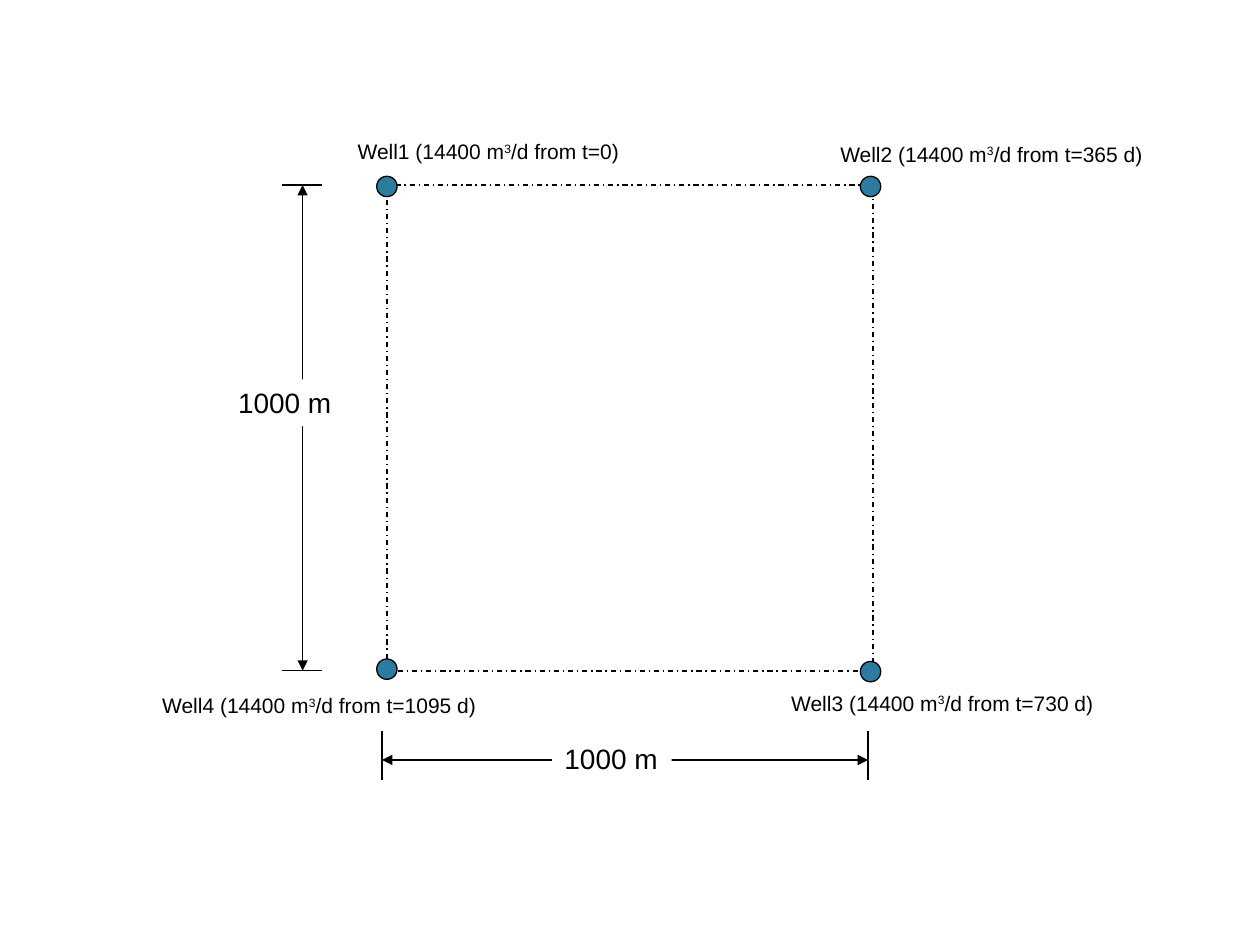
from typing import Any, NamedTuple

from lxml import etree
from pptx import Presentation
from pptx.dml.color import RGBColor
from pptx.enum.dml import MSO_LINE
from pptx.enum.shapes import MSO_CONNECTOR, MSO_SHAPE
from pptx.enum.text import MSO_AUTO_SIZE
from pptx.oxml.ns import qn
from pptx.util import Cm, Pt

RECT, OVAL = MSO_SHAPE.RECTANGLE, MSO_SHAPE.OVAL
STRAIGHT = MSO_CONNECTOR.STRAIGHT
DASH = MSO_LINE.DASH_DOT
FIT = MSO_AUTO_SIZE.SHAPE_TO_FIT_TEXT
BLACK, WHITE, BLUE = "000000", "FFFFFF", "2C7C9F"

SIDE = 9.8
DOT = 0.41


class Well(NamedTuple):
    """Dot centre, label corner and label width in cm, start time."""
    x: float
    y: float
    left: float
    top: float
    width: float
    start: str


class Line(NamedTuple):
    x1: float
    y1: float
    x2: float
    y2: float
    arrows: bool = False


class Note(NamedTuple):
    left: float
    top: float
    text: str


WELLS = [
    Well(7.8, 3.76, 6.96, 2.67, 5.84, "0"),
    Well(17.55, 3.76, 16.69, 2.72, 6.68, "365 d"),
    Well(17.55, 13.54, 15.7, 13.79, 6.68, "730 d"),
    Well(7.8, 13.49, 3.02, 13.84, 6.91, "1095 d"),
]
TOP, BASE = 3.73, 13.52
LEFT, RIGHT = 7.7, 17.5
LINES = [
    *(Line(5.69, y, 6.5, y) for y in (TOP, BASE)),
    *(Line(x, 14.73, x, 15.72) for x in (LEFT, RIGHT)),
    Line(LEFT, 15.32, RIGHT, 15.32, True),
    Line(6.1, BASE, 6.1, TOP, True),
]
NOTES = [Note(4.55, 7.65, "1000 m"), Note(11.13, 14.83, "1000 m")]


def tint(code: str) -> RGBColor:
    return RGBColor.from_string(code)


def apply(obj: Any, style: dict[str, Any]) -> None:
    for name, value in style.items():
        setattr(obj, name, value)


def stroke(shape: Any) -> None:
    shape.line.width = Pt(0.75)
    shape.line.color.rgb = tint(BLACK)


def draw_frame(slide: Any) -> None:
    frame = slide.shapes.add_shape(RECT, Cm(7.8), Cm(TOP), Cm(SIDE), Cm(SIDE))
    frame.shadow.inherit = False
    frame.fill.background()
    stroke(frame)
    frame.line.dash_style = DASH


def draw_dot(slide: Any, well: Well) -> None:
    dot = slide.shapes.add_shape(OVAL, Cm(well.x - DOT / 2), Cm(well.y - DOT / 2),
                                 Cm(DOT), Cm(DOT))
    dot.shadow.inherit = False
    dot.fill.solid()
    dot.fill.fore_color.rgb = tint(BLUE)
    stroke(dot)


def draw_line(slide: Any, line: Line) -> None:
    link = slide.shapes.add_connector(STRAIGHT, Cm(line.x1), Cm(line.y1),
                                      Cm(line.x2), Cm(line.y2))
    stroke(link)
    if line.arrows:
        for end in ("a:headEnd", "a:tailEnd"):
            etree.SubElement(link.line._get_or_add_ln(), qn(end), type="triangle")
    etree.SubElement(link._element.spPr, qn("a:effectLst"))


def draw_text(slide: Any, left: float, top: float, width: float, height: float,
              size: int, parts: list[str]) -> None:
    """Write the parts in one line, every second one as a superscript."""
    box = slide.shapes.add_textbox(Cm(left), Cm(top), Cm(width), Cm(height))
    box.fill.solid()
    box.fill.fore_color.rgb = tint(WHITE)
    apply(box.text_frame, {"word_wrap": False, "auto_size": FIT})
    for i, part in enumerate(parts):
        run = box.text_frame.paragraphs[0].add_run()
        run.text = part
        apply(run.font, {"name": "Arial", "size": Pt(size)})
        run.font.color.rgb = tint(BLACK)
        if i % 2:
            run._r.get_or_add_rPr().set("baseline", "30000")


def main() -> None:
    deck = Presentation()
    apply(deck, {"slide_width": Cm(25.4), "slide_height": Cm(19.05)})
    slide = deck.slides.add_slide(deck.slide_layouts[6])
    draw_frame(slide)
    for well in WELLS:
        draw_dot(slide, well)
    for line in LINES:
        draw_line(slide, line)
    for note in NOTES:
        draw_text(slide, note.left, note.top, 2.41, 0.94, 16, [note.text])
    for i, well in enumerate(WELLS, 1):
        parts = [f"Well{i} (14400 m", "3", f"/d from t={well.start})"]
        draw_text(slide, well.left, well.top, well.width, 0.76, 12, parts)
    deck.save("out.pptx")


if __name__ == "__main__":
    main()
